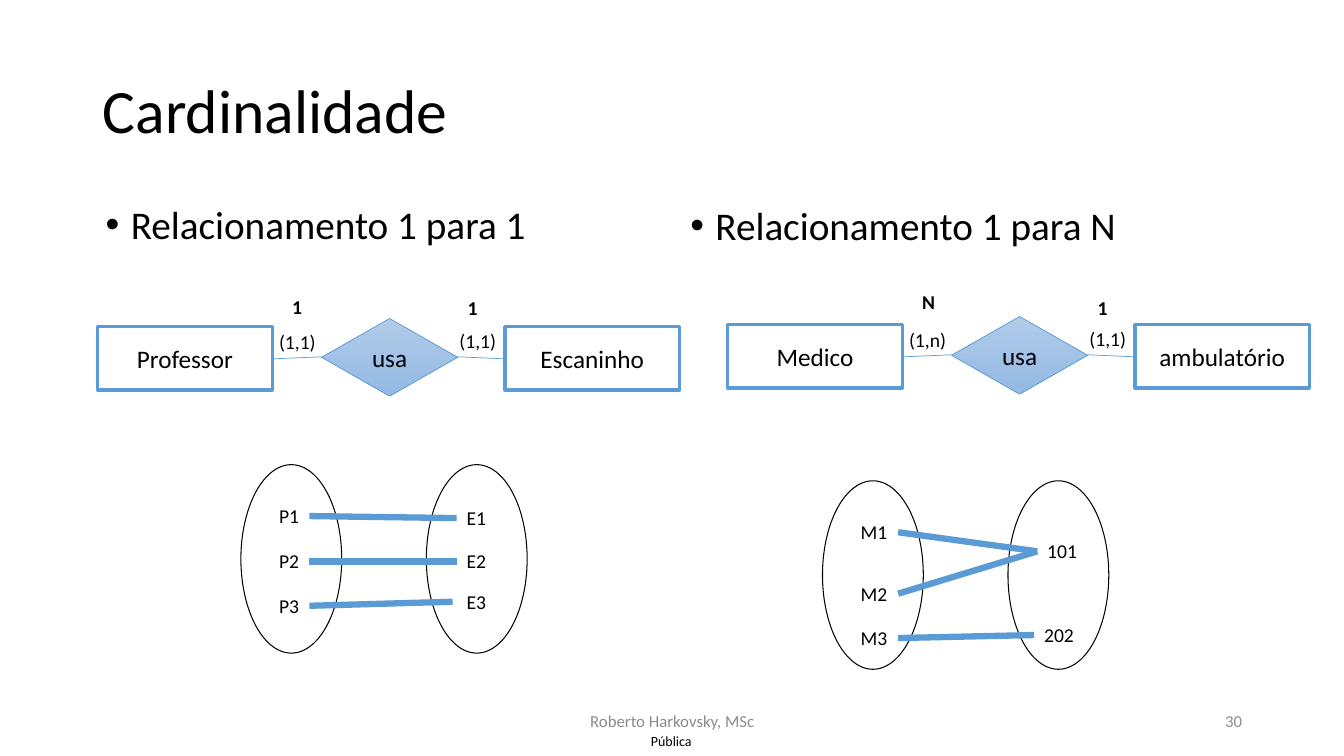
from dataclasses import dataclass

from lxml.etree import SubElement
from pptx import Presentation
from pptx.dml.color import RGBColor
from pptx.enum.shapes import MSO_CONNECTOR as Connector, MSO_SHAPE as Preset
from pptx.enum.text import MSO_ANCHOR as Anchor, PP_ALIGN as Align
from pptx.oxml.ns import qn
from pptx.shapes.base import BaseShape
from pptx.slide import Slide
from pptx.text.text import TextFrame
from pptx.util import Inches, Pt

COLUMNS, ROWS = 133.33, 75
CELL = Inches(0.1)
FONT = "Calibri"
COLORS = {
    "ink": "000000",
    "paper": "FFFFFF",
    "accent": "5B9BD5",
    "muted": "8C8C8C",
    "diamond_top": "B1CBE9",
    "diamond_bottom": "93B9E4",
}
LABEL_HEIGHT = 3.4


@dataclass(frozen=True)
class Area:
    column: float
    row: float
    width: float
    height: float


@dataclass(frozen=True)
class Style:
    size: float
    color: str = "ink"
    bold: bool = False
    align: Align = Align.LEFT
    anchor: Anchor = Anchor.TOP


@dataclass(frozen=True)
class Label:
    text: str
    column: float
    row: float
    width: float


@dataclass(frozen=True)
class Relationship:
    column: float
    row: float
    entities: tuple[str, str]
    ranges: tuple[str, str]
    maxima: tuple[Label, Label]


@dataclass(frozen=True)
class Link:
    source: int
    target: int
    gap: float = 0


@dataclass(frozen=True)
class Mapping:
    column: float
    row: float
    sources: tuple[Label, ...]
    targets: tuple[Label, ...]
    links: tuple[Link, ...]


SMALL = Style(14)
STRONG = Style(14, bold=True)
NODE = Style(18, align=Align.CENTER, anchor=Anchor.MIDDLE)
TITLE = Style(44, anchor=Anchor.MIDDLE)
BULLET = Style(28)

BULLETS = (
    ("Relacionamento 1 para 1", Area(9.5, 19.9, 56.7, 6.5)),
    ("Relacionamento 1 para N", Area(67.5, 20, 56.7, 6.5)),
)
FOOTERS = (
    ("Roberto Harkovsky, MSc", Area(44.2, 69.5, 45, 4),
     Style(12, "muted", align=Align.CENTER, anchor=Anchor.MIDDLE)),
    ("30", Area(94.2, 69.5, 30, 4),
     Style(12, "muted", align=Align.RIGHT, anchor=Anchor.MIDDLE)),
)
RELATIONSHIPS = (
    Relationship(9.7, 32.4, ("Professor", "Escaninho"), ("(1,1)", "(1,1)"),
                 (Label("1", 18.3, -3.6, 3), Label("1", 35.7, -3.5, 3))),
    Relationship(72.2, 32.2, ("Medico", "ambulatório"), ("(1,n)", "(1,1)"),
                 (Label("N", 18.3, -3.9, 3.3), Label("1", 35.7, -3.3, 3))),
)
MAPPINGS = (
    Mapping(23.9, 46.1,
            (Label("P1", 2.8, 3.4, 4), Label("P2", 2.8, 7.9, 4), Label("P3", 2.8, 12.3, 4)),
            (Label("E1", 21.4, 3.6, 4), Label("E2", 21.4, 7.9, 4), Label("E3", 21.4, 11.9, 4)),
            (Link(0, 0), Link(1, 1), Link(2, 2, 0.4))),
    Mapping(81.6, 47.7,
            (Label("M1", 2.8, 3.4, 4.7), Label("M2", 2.8, 9.5, 4.7), Label("M3", 2.8, 13.9, 4.7)),
            (Label("101", 21.3, 5.3, 5), Label("202", 21, 13.6, 5)),
            (Link(0, 0), Link(1, 0), Link(2, 1))),
)


def rgb(name: str) -> RGBColor:
    return RGBColor.from_string(COLORS[name])


def cells(*counts: float) -> list[int]:
    return [round(count * CELL) for count in counts]


def bounds(area: Area) -> list[int]:
    return cells(area.column, area.row, area.width, area.height)


def write(frame: TextFrame, text: str, style: Style, wrap: bool = True) -> None:
    frame.text = text
    frame.word_wrap = wrap
    frame.vertical_anchor = style.anchor
    para = frame.paragraphs[0]
    para.alignment = style.align
    font = para.runs[0].font
    font.name, font.size, font.bold = FONT, Pt(style.size), style.bold
    font.color.rgb = rgb(style.color)


def add_text(page: Slide, text: str, area: Area, style: Style, wrap: bool = True) -> TextFrame:
    frame = page.shapes.add_textbox(*bounds(area)).text_frame
    write(frame, text, style, wrap)
    return frame


def add_label(page: Slide, label: Label, column: float, row: float, style: Style) -> None:
    area = Area(column + label.column, row + label.row, label.width, LABEL_HEIGHT)
    add_text(page, label.text, area, style, wrap=False)


def add_bullet(page: Slide, text: str, area: Area) -> None:
    para = add_text(page, text, area, BULLET).paragraphs[0]
    para.line_spacing, para.space_before = 0.9, Pt(10)
    properties = para._p.get_or_add_pPr()
    properties.set("marL", str(Inches(0.25)))
    properties.set("indent", str(-Inches(0.25)))
    SubElement(properties, qn("a:buFont"), typeface="Arial")
    SubElement(properties, qn("a:buChar"), char="•")


def add_outline(page: Slide, preset: Preset, area: Area, color: str, weight: float) -> BaseShape:
    shape = page.shapes.add_shape(preset, *bounds(area))
    shape.shadow.inherit = False
    shape.fill.background()
    shape.line.color.rgb = rgb(color)
    shape.line.width = Pt(weight)
    return shape


def add_line(page: Slide, ends: tuple[float, float, float, float], weight: float) -> None:
    line = page.shapes.add_connector(Connector.STRAIGHT, *cells(*ends))
    line.line.color.rgb = rgb("accent")
    line.line.width = Pt(weight)
    SubElement(line._element.spPr, qn("a:effectLst"))


def draw_relationship(page: Slide, relation: Relationship) -> None:
    left, top = relation.column, relation.row
    for offset, entity in zip((0, 40.4), relation.entities):
        box = add_outline(page, Preset.RECTANGLE, Area(left + offset, top, 17.3, 6.3), "accent", 2.25)
        box.fill.solid()
        box.fill.fore_color.rgb = rgb("paper")
        write(box.text_frame, entity, NODE)
    diamond = add_outline(page, Preset.FLOWCHART_DECISION,
                          Area(left + 22.2, top - 0.8, 13.5, 7.7), "accent", 0.5)
    diamond.fill.gradient()
    diamond.fill.gradient_angle = 270
    for stop, color in zip(diamond.fill.gradient_stops, ("diamond_top", "diamond_bottom")):
        stop.color.rgb = rgb(color)
    write(diamond.text_frame, "usa", NODE)
    add_line(page, (left + 17.4, top + 3.2, left + 22.2, top + 3), 0.5)
    add_line(page, (left + 35.7, top + 3, left + 40.4, top + 3.2), 0.5)
    for text, column, row in zip(relation.ranges, (17, 34.9), (-0.2, -0.3)):
        add_label(page, Label(text, column, row, 5.7), left, top, SMALL)
    for label in relation.maxima:
        add_label(page, label, left, top, STRONG)


def draw_mapping(page: Slide, mapping: Mapping) -> None:
    left, top = mapping.column, mapping.row
    for offset in (0, 18.4):
        add_outline(page, Preset.OVAL, Area(left + offset, top, 10, 18.7), "ink", 0.75)
    for label in mapping.sources + mapping.targets:
        add_label(page, label, left, top, SMALL)
    middle = top + LABEL_HEIGHT / 2
    for link in mapping.links:
        source, target = mapping.sources[link.source], mapping.targets[link.target]
        add_line(page, (left + source.column + source.width, middle + source.row,
                        left + target.column - link.gap, middle + target.row), 4.5)


def main() -> None:
    deck = Presentation()
    deck.slide_width, deck.slide_height = cells(COLUMNS, ROWS)
    page = deck.slides.add_slide(deck.slide_layouts[5])
    title = page.shapes.title
    title.left, title.top, title.width, title.height = bounds(Area(9.2, 4, 115, 14.5))
    write(title.text_frame, "Cardinalidade", TITLE)
    title.text_frame.paragraphs[0].line_spacing = 0.9
    for text, area in BULLETS:
        add_bullet(page, text, area)
    for text, area, style in FOOTERS:
        add_text(page, text, area, style)
    mark = add_text(page, "Pública", Area(63.1, 72.1, 7, 2.9),
                    Style(10, align=Align.CENTER, anchor=Anchor.MIDDLE))
    mark.margin_left = mark.margin_right = mark.margin_top = mark.margin_bottom = 0
    for relation in RELATIONSHIPS:
        draw_relationship(page, relation)
    for mapping in MAPPINGS:
        draw_mapping(page, mapping)
    deck.save("out.pptx")


if __name__ == "__main__":
    main()
